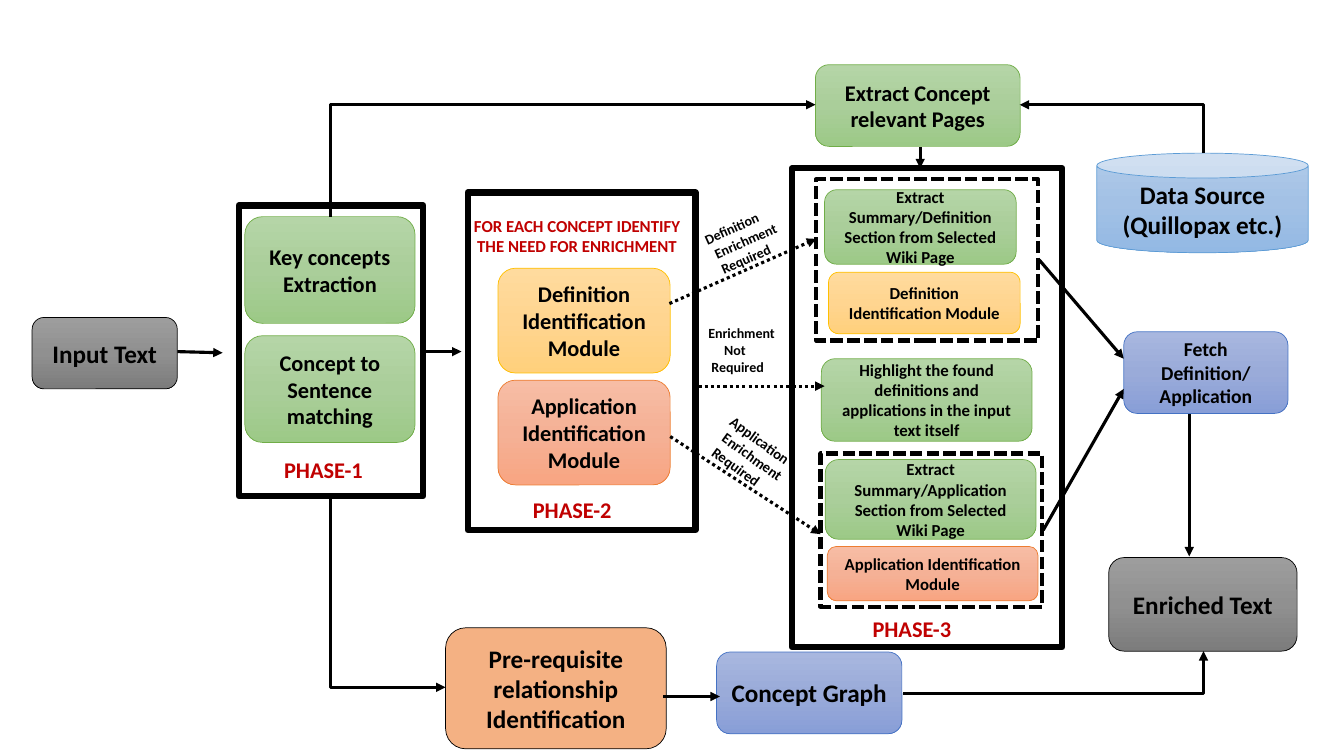
import copy
import pptx
import pptx.util
import pptx.dml.color
import pptx.enum.dml
import pptx.enum.shapes
import pptx.enum.text
import pptx.oxml.ns
import lxml.etree

Cm, Pt = pptx.util.Cm, pptx.util.Pt
RGB = pptx.dml.color.RGBColor
KIND = pptx.enum.shapes.MSO_SHAPE
JOIN = pptx.enum.shapes.MSO_CONNECTOR
DASH = pptx.enum.dml.MSO_LINE
ALIGN = pptx.enum.text.PP_ALIGN
qn = pptx.oxml.ns.qn

BLACK = RGB(0, 0, 0)
RED = RGB(0xC0, 0, 0)


def tone(line, *stops):
    return RGB.from_string(line), [RGB.from_string(s) for s in stops]


# Each tone: outline, then fill colours from top to bottom
GREY = tone("000000", "9D9D9D", "909090", "7C7C7C")
GREEN = tone("70AD47", "B5D5A7", "AACE9A", "9CC987")
BLUE = tone("4472C4", "A8B7DF", "9AABD9", "889ED7")
SKY = tone("5B9BD5", "B1CBE9", "A3C1E5", "93B9E4")
GOLD = tone("FFC000", "FFDB9E", "FFD590", "FFD07C")
CORAL = tone("ED7D31", "F7BDA5", "F5B196", "F8A582")
PEACH = tone("000000", "F4B183")

deck = pptx.Presentation()
deck.slide_width, deck.slide_height = Cm(33.87), Cm(19.05)
shapes = deck.slides.add_slide(deck.slide_layouts[6]).shapes


# Basic parts
def style(para, size, color):
    font = para.font
    font.name, font.size, font.bold = "Calibri", Pt(size), True
    font.color.rgb = color


def block(text, box, hue, size, kind=KIND.ROUNDED_RECTANGLE):
    shape = shapes.add_shape(kind, *map(Cm, box))
    shape.shadow.inherit = False
    edge, stops = hue
    if len(stops) == 1:
        shape.fill.solid()
        shape.fill.fore_color.rgb = stops[0]
    else:
        shape.fill.gradient()
        shape.fill.gradient_angle = 270
        items = shape._element.find(".//" + qn("a:gsLst"))
        items.insert(1, copy.deepcopy(items[0]))
        for i, stop in enumerate(shape.fill.gradient_stops):
            stop.position = i / 2
            stop.color.rgb = stops[i]
    shape.line.color.rgb, shape.line.width = edge, Pt(0.5)
    frame = shape.text_frame
    frame.word_wrap = True
    frame.text = text
    frame.vertical_anchor = pptx.enum.text.MSO_ANCHOR.MIDDLE
    frame.paragraphs[0].alignment = ALIGN.CENTER
    style(frame.paragraphs[0], size, BLACK)


def outline(box, width=4.5, dash=None):
    shape = shapes.add_shape(KIND.RECTANGLE, *map(Cm, box))
    shape.shadow.inherit = False
    shape.fill.background()
    shape.line.color.rgb, shape.line.width = BLACK, Pt(width)
    if dash:
        shape.line.dash_style = dash


def label(lines, box, size, color, align=ALIGN.LEFT, turn=0, pads=(0, 0, 0)):
    shape = shapes.add_textbox(*map(Cm, box))
    shape.rotation = turn
    frame = shape.text_frame
    frame.word_wrap = True
    frame.text = "\n".join(lines)
    for para, pad in zip(frame.paragraphs, pads):
        para.alignment = align
        style(para, size, color)
        if pad:
            para._p.get_or_add_pPr().set("marL", str(Cm(pad)))


def arrow(x1, y1, x2, y2, dash=None, kind=JOIN.STRAIGHT):
    line = shapes.add_connector(kind, Cm(x1), Cm(y1), Cm(x2), Cm(y2))
    line.line.color.rgb, line.line.width = BLACK, Pt(2.25)
    if dash:
        line.line.dash_style = dash
    tip = lxml.etree.SubElement(line.line._get_or_add_ln(), qn("a:tailEnd"))
    tip.set("type", "triangle")
    lxml.etree.SubElement(line._element.spPr, qn("a:effectLst"))
    return line


def elbow(x1, y1, x2, y2, rise=True):
    """One-bend arrow; rise means the vertical leg comes first."""
    if rise:  # quarter turn about the middle
        mx, my = (x1 + x2) / 2, (y1 + y2) / 2
        dx, dy = (x2 - x1) / 2, (y2 - y1) / 2
        x1, y1, x2, y2 = mx - dy, my + dx, mx + dy, my - dx
    line = arrow(x1, y1, x2, y2, kind=JOIN.ELBOW)
    props = line._element.spPr
    props.find(qn("a:prstGeom")).set("prst", "bentConnector2")
    if rise:
        props.find(qn("a:xfrm")).set("rot", "5400000")


# Phases: parts are placed from the corner of the frame
def phase(num, box, tag):
    x, y = box[:2]
    outline(box)
    label([f"PHASE-{num}"], (x + tag[0], y + tag[1], 2.92, 0.94), 16, RED)


def first(box):
    x, y = box[:2]
    for i, text in enumerate(["Key concepts Extraction",
                              "Concept to Sentence matching"]):
        block(text, (x + 0.15, y + 0.28 + 3 * i, 4.29, 2.69), GREEN, 16)
    phase(1, box, (0.89, 6.2))


def second(box):
    x, y = box[:2]
    label(["FOR EACH CONCEPT IDENTIFY THE NEED FOR ENRICHMENT"],
          (x - 0.23, y + 0.46, 5.97, 1.27), 12, RED, ALIGN.CENTER)
    for i, (name, hue) in enumerate([("Definition", GOLD),
                                     ("Application", CORAL)]):
        block(f"{name} Identification Module",
              (x + 0.76, y + 1.91 + 2.82 * i, 4.34, 2.64), hue, 16)
    phase(2, box, (1.39, 7.52))


def third(box):
    x, y = box[:2]
    parts = [
        ("Extract Summary/Definition Section from Selected Wiki Page",
         0.82, 0.54, 4.83, 1.88, GREEN),
        ("Definition Identification Module", 0.92, 2.62, 4.83, 1.55, GOLD),
        ("Highlight the found definitions and applications in the input "
         "text itself", 0.74, 4.8, 5.31, 2.08, GREEN),
        ("Extract Summary/Application Section from Selected Wiki Page",
         0.84, 7.34, 5.31, 2.01, GREEN),
        ("Application Identification Module", 0.89, 9.53, 5.31, 1.37, CORAL),
    ]
    for text, dx, dy, wide, high, hue in parts:
        block(text, (x + dx, y + dy, wide, high), hue, 12)
    for dx, dy, high in [(0.61, 0.28, 4.06), (0.72, 7.19, 3.86)]:
        outline((x + dx, y + dy, 5.59, high), 3, DASH.SQUARE_DOT)
    phase(3, box, (1.78, 11.13))


first((6.02, 5.18, 4.65, 7.32))
second((11.79, 4.85, 5.74, 8.51))
third((19.96, 4.24, 6.81, 12.07))

# Blocks outside the phases
block("Input Text", (0.81, 8, 3.66, 1.8), GREY, 18)
block("Extract Concept relevant Pages", (20.55, 1.63, 5.16, 2.06), GREEN, 16)
block("Data Source (Quillopax etc.)", (27.64, 3.86, 5.33, 2.51), SKY, 18,
      KIND.CAN)
block("Fetch Definition/ Application", (28.32, 8.36, 4.14, 2.06), BLUE, 14)
block("Enriched Text", (27.94, 14.05, 4.75, 2.36), GREY, 18)
block("Pre-requisite relationship Identification",
      (11.23, 15.82, 5.56, 3.05), PEACH, 18)
block("Concept Graph", (18.06, 16.43, 4.67, 2.06), BLUE, 18)

# Notes on the dotted arrows
NEED = ["Enrichment", "Required"]
label(["Definition"] + NEED, (17.45, 4.5, 6.25, 1.55), 10, BLACK,
      turn=335.8, pads=(0, 0.08, 0.08))
label(["Enrichment", "Not", "Required"], (17.6, 8.05, 2.44, 1.55), 10, BLACK,
      pads=(0, 0.4, 0.08))
label(["Application"] + NEED, (17.75, 10.72, 2.44, 1.6), 10.5, BLACK,
      turn=35.8, pads=(0, 0.08, 0.08))

# Arrows
for ends in [(4.47, 8.86, 5.61, 8.89), (10.69, 8.86, 11.63, 8.86),
             (16.71, 17.55, 18.14, 17.55), (26.19, 6.55, 28.32, 9.04),
             (26.29, 13.36, 28.32, 9.8), (29.97, 10.44, 29.97, 14.02),
             (23.19, 3.71, 23.19, 4.24)]:
    arrow(*ends)
for ends in [(16.87, 7.65, 20.57, 6.02), (17.6, 9.73, 20.78, 9.73),
             (16.89, 11, 20.68, 13.46)]:
    arrow(*ends, dash=DASH.ROUND_DOT)
for ends in [(8.33, 5.46, 20.55, 2.64), (8.33, 12.5, 11.23, 17.32),
             (30.33, 3.86, 25.7, 2.64)]:
    elbow(*ends)
elbow(22.76, 17.48, 30.33, 16.41, rise=False)

deck.save("out.pptx")
